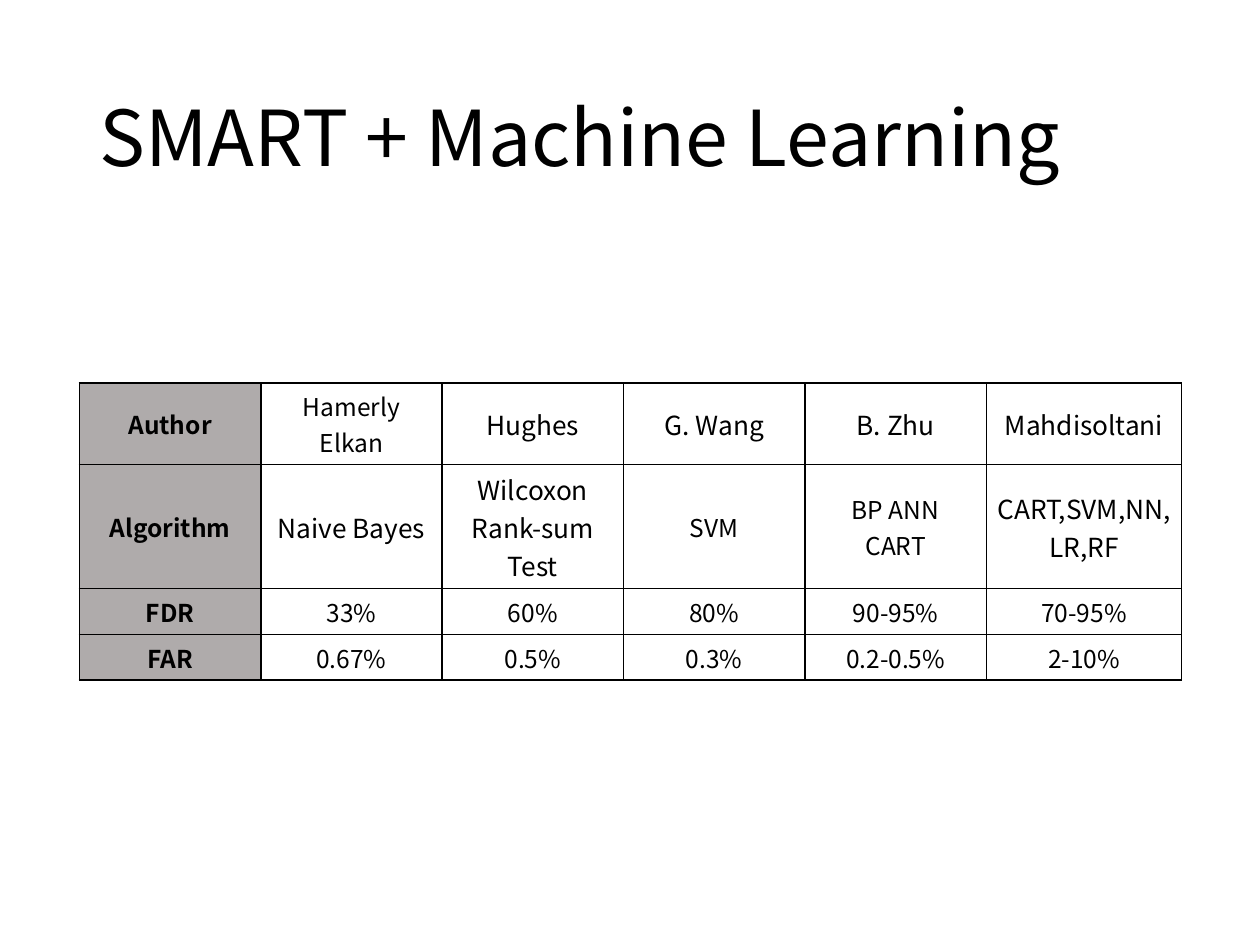
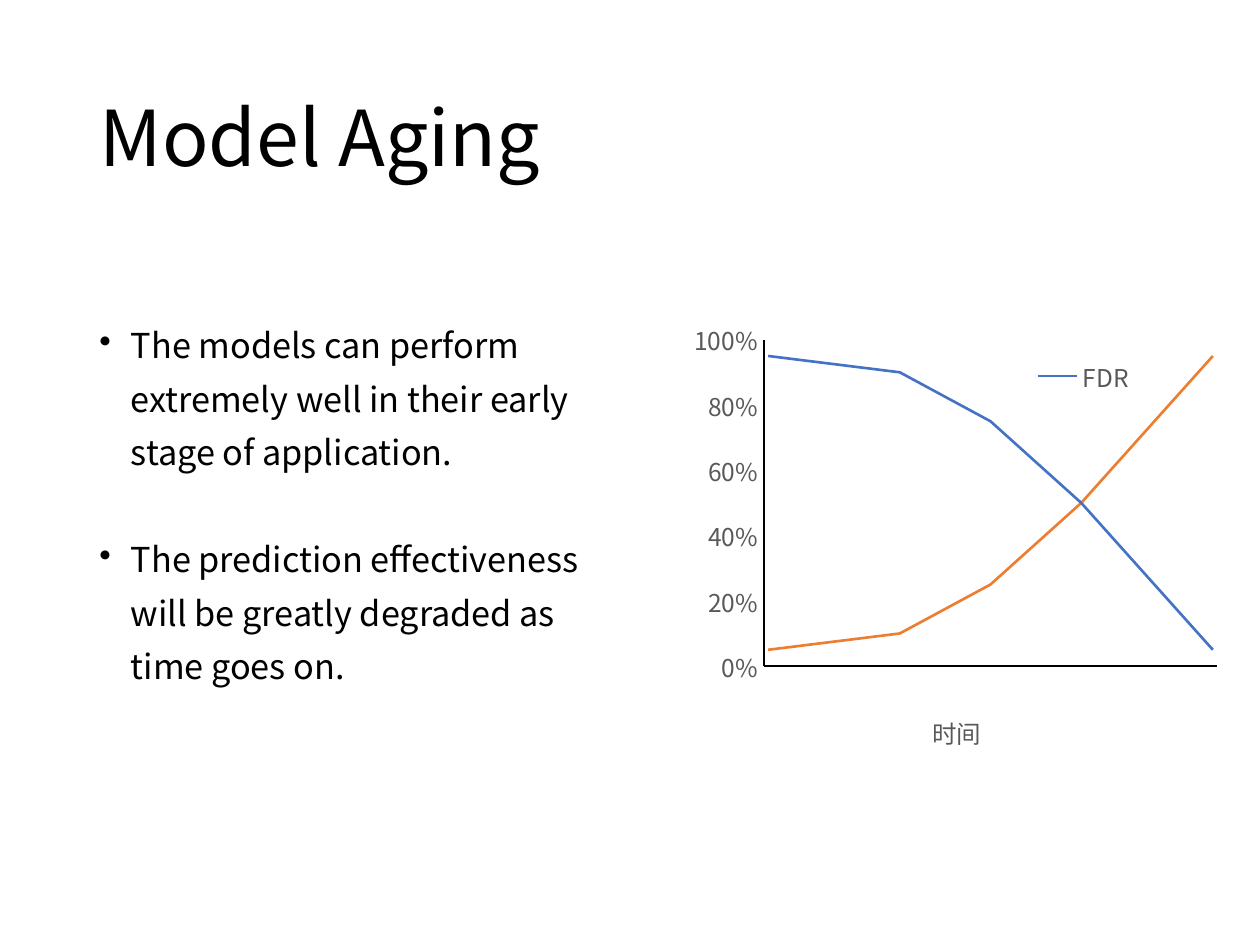
from pptx import Presentation
from pptx.chart.data import XyChartData
from pptx.dml.color import RGBColor
from pptx.enum.chart import (XL_CHART_TYPE as ChartType, XL_LEGEND_POSITION as LegendPos,
                             XL_MARKER_STYLE as Marker, XL_TICK_LABEL_POSITION as LabelPos,
                             XL_TICK_MARK as TickMark)
from pptx.enum.text import MSO_ANCHOR as Anchor, MSO_AUTO_SIZE as AutoSize, PP_ALIGN as Align
from pptx.oxml.xmlchemy import OxmlElement
from pptx.util import Inches, Pt

FONT = "Noto Sans CJK SC"
BLACK = RGBColor(0x00, 0x00, 0x00)
CHART_GRAY = RGBColor(0x59, 0x59, 0x59)
HEADER_GRAY = RGBColor(0xAF, 0xAB, 0xAB)
FDR_BLUE = RGBColor(0x44, 0x72, 0xC4)
FAR_ORANGE = RGBColor(0xED, 0x7D, 0x31)

STUDIES = [
    ["Author", "Hamerly\nElkan", "Hughes", "G. Wang", "B. Zhu", "Mahdisoltani"],
    ["Algorithm", "Naive Bayes", "Wilcoxon Rank-sum Test", "SVM", "BP ANN\nCART",
     "CART,SVM,NN,LR,RF"],
    ["FDR", "33%", "60%", "80%", "90-95%", "70-95%"],
    ["FAR", "0.67%", "0.5%", "0.3%", "0.2-0.5%", "2-10%"],
]
LARGER_ENTRIES = {"Hughes", "G. Wang", "B. Zhu", "Mahdisoltani", "Naive Bayes",
                  "Wilcoxon Rank-sum Test", "CART,SVM,NN,LR,RF"}
COLUMN_WIDTHS = [1.44] * 5 + [1.55]
ROW_HEIGHTS = [0.55, 0.82, 0.31, 0.31]

AGING_POINTS = [
    "The models can perform extremely well in their early\vstage of application.",
    "The prediction effectiveness will be greatly degraded as time goes on.",
]
TIMES = [0.01, 0.3, 0.5, 0.7, 0.99]
RATES = [("FDR", FDR_BLUE, [0.95, 0.9, 0.75, 0.5, 0.05]),
         ("FAR", FAR_ORANGE, [0.05, 0.1, 0.25, 0.5, 0.95])]


def format_font(font, size, color=BLACK, bold=False):
    """Apply the deck's typeface with a size, colour and weight."""
    font.name = FONT
    font.size = Pt(size)
    font.bold = bold
    font.color.rgb = color


def write_text(frame, text, size, color=BLACK, bold=False, align=Align.LEFT,
               spacing=None, gap=None, bullet=None):
    """Fill a text frame, one paragraph per line of text."""
    for index, line in enumerate(text.split("\n")):
        paragraph = frame.add_paragraph() if index else frame.paragraphs[0]
        paragraph.text = line
        paragraph.alignment = align
        if spacing:
            paragraph.line_spacing = spacing
        if gap:
            paragraph.space_after = Pt(gap)
        for run in paragraph.runs:
            format_font(run.font, size, color, bold)
        if bullet:
            add_bullet(paragraph, bullet)


def add_bullet(paragraph, character):
    """Give a paragraph a hanging bullet."""
    properties = paragraph._p.get_or_add_pPr()
    properties.set("marL", str(Inches(0.25)))
    properties.set("indent", str(Inches(-0.25)))
    mark = OxmlElement("a:buChar")
    mark.set("char", character)
    properties.append(mark)


def add_titled_slide(prs, title):
    """Add a title-only slide with the shared title style."""
    slide = prs.slides.add_slide(prs.slide_layouts[5])
    heading = slide.shapes.title
    heading.left, heading.top = Inches(0.69), Inches(0.4)
    heading.width, heading.height = Inches(8.62), Inches(1.45)
    heading.text_frame.auto_size = AutoSize.NONE
    heading.text_frame.vertical_anchor = Anchor.MIDDLE
    write_text(heading.text_frame, title, size=44, spacing=0.9)
    return slide


def add_cell_borders(cell):
    """Draw a thin black line on all four sides of a cell."""
    properties = cell._tc.get_or_add_tcPr()
    for side in "LRTB":
        line = OxmlElement(f"a:ln{side}")
        line.set("w", str(Pt(1)))
        fill = OxmlElement("a:solidFill")
        color = OxmlElement("a:srgbClr")
        color.set("val", str(BLACK))
        fill.append(color)
        line.append(fill)
        properties.append(line)


def fill_cell(cell, text, is_header):
    """Write and style one table cell."""
    cell.vertical_anchor = Anchor.MIDDLE
    cell.margin_left = cell.margin_right = Inches(0.07)
    cell.margin_top = cell.margin_bottom = Inches(0.04)
    add_cell_borders(cell)
    if is_header:
        cell.fill.solid()
        cell.fill.fore_color.rgb = HEADER_GRAY
    else:
        cell.fill.background()
    write_text(cell.text_frame, text, size=15 if text in LARGER_ENTRIES else 14,
               bold=is_header, align=Align.CENTER)


def add_study_table(slide):
    """Add the comparison of published studies."""
    table = slide.shapes.add_table(
        len(STUDIES), len(COLUMN_WIDTHS), Inches(0.63), Inches(3.04),
        Inches(sum(COLUMN_WIDTHS)), Inches(sum(ROW_HEIGHTS))).table
    table.first_row = table.horz_banding = False
    for column, width in zip(table.columns, COLUMN_WIDTHS):
        column.width = Inches(width)
    for row, height, entries in zip(table.rows, ROW_HEIGHTS, STUDIES):
        row.height = Inches(height)
        for index, (cell, entry) in enumerate(zip(row.cells, entries)):
            fill_cell(cell, entry, is_header=index == 0)


def add_bullets(slide, points):
    """Add the bulleted statements on the left."""
    box = slide.shapes.add_textbox(Inches(0.69), Inches(2.43), Inches(4.34), Inches(3.57))
    box.text_frame.word_wrap = True
    write_text(box.text_frame, "\n".join(points), size=19.6, spacing=1.3, gap=30.6, bullet="•")


def place_chart_part(part, after=None, **fractions):
    """Set a chart part's manual layout in fractions of the chart."""
    for old_layout in part.xpath("c:layout"):
        part.remove(old_layout)
    layout, manual = OxmlElement("c:layout"), OxmlElement("c:manualLayout")
    layout.append(manual)
    settings = {"xMode": "edge", "yMode": "edge", **fractions}
    if after is None:
        settings = {"layoutTarget": "inner", **settings}
    for tag, value in settings.items():
        setting = OxmlElement(f"c:{tag}")
        setting.set("val", str(value))
        manual.append(setting)
    if after is None:
        part.insert(0, layout)
    else:
        part.xpath(after)[0].addnext(layout)


def format_axis(axis):
    """Style an axis that runs from zero to one."""
    axis.minimum_scale, axis.maximum_scale = 0, 1
    axis.major_unit = 0.2
    axis.has_major_gridlines = False
    axis.major_tick_mark = axis.minor_tick_mark = TickMark.NONE
    axis.format.line.color.rgb = BLACK
    axis.format.line.width = Pt(1)
    format_font(axis.tick_labels.font, 14, CHART_GRAY)


def add_legend(chart):
    """Overlay a legend that lists only the first series."""
    chart.has_legend = True
    chart.legend.position = LegendPos.CORNER
    chart.legend.include_in_layout = True
    format_font(chart.legend.font, 14, CHART_GRAY)
    entry, index, delete = map(OxmlElement, ("c:legendEntry", "c:idx", "c:delete"))
    index.set("val", "1")
    delete.set("val", "1")
    entry.extend([index, delete])
    legend = chart.element.xpath(".//c:legend")[0]
    legend.xpath("c:legendPos")[0].addnext(entry)
    place_chart_part(legend, after="c:legendEntry", x=0.61, y=0.09, w=0.25, h=0.1)


def add_aging_chart(slide):
    """Add the smooth curves of both rates over time."""
    data = XyChartData()
    for name, _, rates in RATES:
        series = data.add_series(name)
        for time, rate in zip(TIMES, rates):
            series.add_data_point(time, rate)
    chart = slide.shapes.add_chart(
        ChartType.XY_SCATTER_SMOOTH_NO_MARKERS, Inches(5.41), Inches(2.48),
        Inches(4.34), Inches(3.6), data).chart
    chart.has_title = False
    format_font(chart.font, 14)
    chart.plots[0].vary_by_categories = False
    for series, (_, color, _) in zip(chart.plots[0].series, RATES):
        series.smooth = True
        series.marker.style = Marker.NONE
        series.format.line.color.rgb = color
        series.format.line.width = Pt(1.5)

    time_axis, rate_axis = chart.category_axis, chart.value_axis
    format_axis(time_axis)
    format_axis(rate_axis)
    time_axis.tick_label_position = LabelPos.NONE
    rate_axis.tick_labels.number_format = "0%"
    rate_axis.tick_labels.number_format_is_linked = False
    write_text(time_axis.axis_title.text_frame, "时间", size=14, color=CHART_GRAY,
               align=Align.CENTER)
    add_legend(chart)
    place_chart_part(chart.element.xpath(".//c:valAx/c:title")[0], after="c:tx", x=0.45, y=0.87)
    place_chart_part(chart.element.xpath(".//c:plotArea")[0], x=0.15, y=0.06, w=0.83, h=0.72)


def main():
    """Build and save the two slides."""
    prs = Presentation()
    prs.slide_width, prs.slide_height = Inches(10), Inches(7.5)
    add_study_table(add_titled_slide(prs, "SMART + Machine Learning"))
    aging_slide = add_titled_slide(prs, "Model Aging")
    add_bullets(aging_slide, AGING_POINTS)
    add_aging_chart(aging_slide)
    prs.save("out.pptx")


if __name__ == "__main__":
    main()
